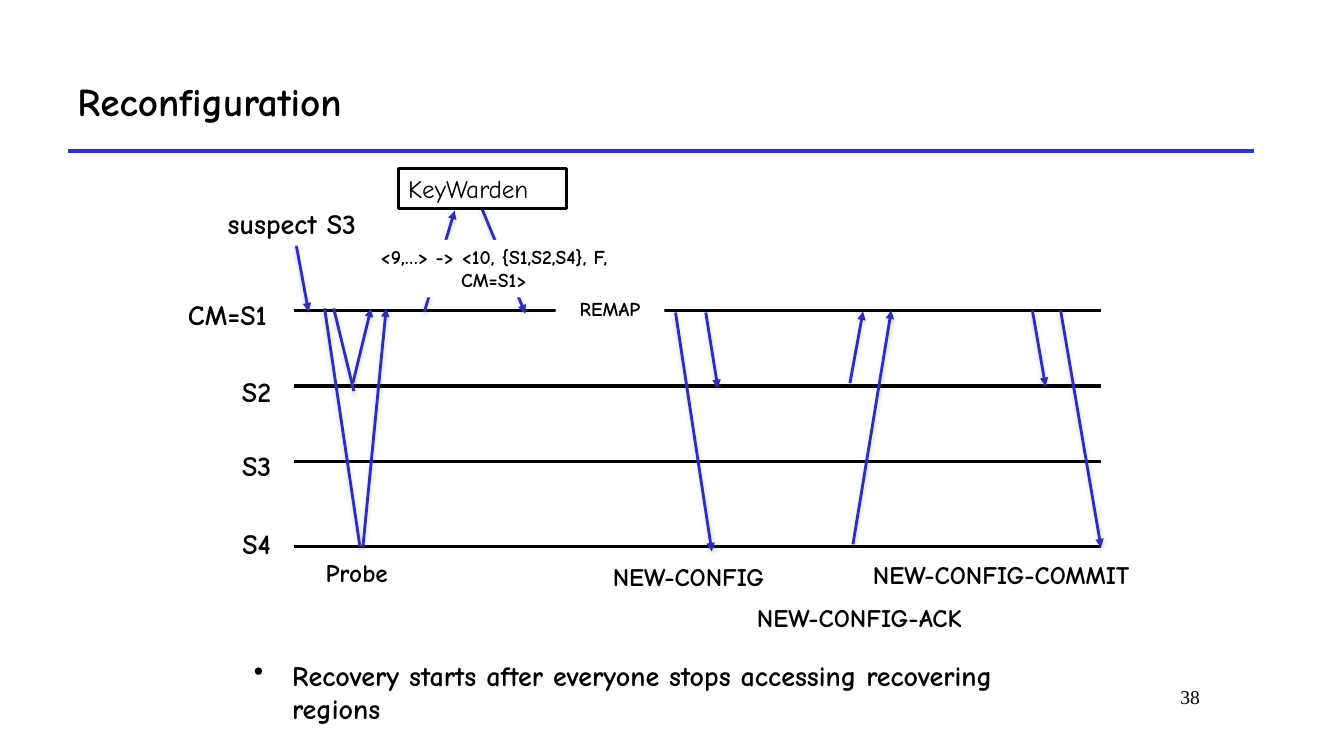
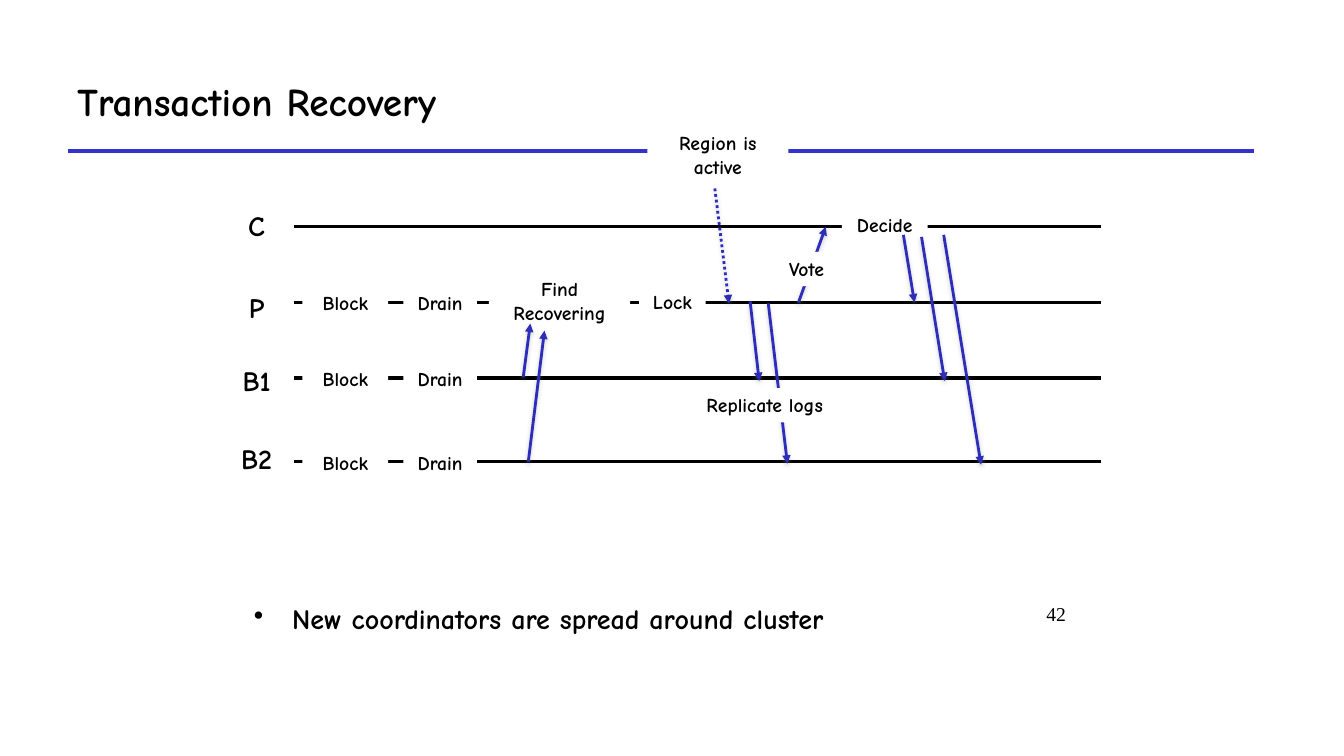
"""Build two message-timeline slides about cluster recovery."""
from lxml import etree
from pptx import Presentation
from pptx.dml.color import RGBColor
from pptx.enum import dml, shapes, text
from pptx.oxml import ns
from pptx.util import Inches, Pt

COLORS = {"ink": "000000", "paper": "FFFFFF", "rule": "3333CC",
          "arrow": "2D2DB9", "shadow": "808080"}
FONT, NUMBER_FONT = "Comic Neue", "Times New Roman"
LEFT, CENTER, RIGHT = (text.PP_ALIGN.LEFT, text.PP_ALIGN.CENTER, text.PP_ALIGN.RIGHT)
LANE_START, LANE_END = 2.92, 10.92
NOTE_RISE = 0.16
STEPS = [("Block", 3, 0.85), ("Drain", 4, 0.73)]
REPLICA_LANES = [("P", 3, 2.83), ("B1", 3.75, 3.56), ("B2", 4.58, 4.33)]

SLIDES = [
    {
        "title": "Reconfiguration",
        "number": ("38", 10.11, 6.75, 1.89),
        "lanes": [("CM=S1", 3.08, 2.9), ("S2", 3.83, 3.67),
                  ("S3", 4.58, 4.4), ("S4", 5.42, 5.17)],
        "strokes": [(3.31, 3.06, 3.51, 3.88), (3.22, 3.06, 3.57, 5.42)],
        "arrows": [(3.5, 3.8, 3.68, 3.06), (3.6, 5.42, 3.83, 3.06),
                   (2.94, 2.44, 3.06, 3.09), (4.21, 3.09, 4.51, 2.09),
                   (4.78, 2.07, 5.21, 3.11), (6.7, 3.1, 7.06, 5.47),
                   (8.46, 5.4, 8.84, 3.08), (7, 3.1, 7.12, 3.85),
                   (8.43, 3.8, 8.56, 3.09), (10.24, 3.08, 10.37, 3.83),
                   (10.52, 3.08, 10.92, 5.43)],
        "boxes": [("KeyWarden", 3.95, 1.67, 1.67, 0.4)],
        "notes": [("<9,…> -> <10, {S1,S2,S4}, F, CM=S1>", 3.46, 2.38, 2.88, 0.57),
                  ("REMAP", 5.51, 2.9, 1.08, 0.34)],
        "captions": [("suspect S3", 1.95, 2, 1.89, 0.44, 20, CENTER),
                     ("Probe", 3.13, 5.48, 0.95, 0.4, 18, LEFT),
                     ("NEW-CONFIG", 5.98, 5.52, 2.04, 0.4, 18, LEFT),
                     ("NEW-CONFIG-ACK", 7.41, 5.93, 2.67, 0.4, 18, LEFT),
                     ("NEW-CONFIG-COMMIT", 8.56, 5.5, 3.52, 0.4, 18, LEFT)],
        "bullet": ("Recovery starts after everyone stops accessing recovering regions",
                   6.48, 0.77),
    },
    {
        "title": "Transaction Recovery",
        "number": ("42", 9.25, 5.92, 1.42),
        "lanes": [("C", 2.25, 2.02)] + REPLICA_LANES,
        "dotted": [(7.09, 1.87, 7.23, 3.01)],
        "arrows": [(5.24, 4.58, 5.4, 3.28), (7.44, 2.99, 7.53, 3.78),
                   (7.62, 3.01, 7.81, 4.6), (7.92, 3, 8.19, 2.25)],
        "notes": [(step, x, y - NOTE_RISE, w, 0.34)
                  for step, x, w in STEPS for _, y, _ in REPLICA_LANES] + [
            ("Find Recovering", 4.85, 2.7, 1.4, 0.57),
            ("Lock", 6.34, 2.83, 0.66, 0.34),
            ("Region is active", 6.42, 1.25, 1.4, 0.57),
            ("Replicate logs", 6.78, 3.85, 1.61, 0.34),
            ("Vote", 7.67, 2.5, 0.66, 0.34),
            ("Decide", 8.35, 2.06, 0.85, 0.34)],
        "front_arrows": [(5.19, 3.74, 5.26, 3.21), (8.96, 2.33, 9.07, 3),
                         (9.14, 2.35, 9.37, 3.78), (9.36, 2.33, 9.73, 4.61)],
        "bullet": ("New coordinators are spread around cluster", 5.92, 0.44),
    },
]


def rgb(name):
    return RGBColor.from_string(COLORS[name])


def add_xml(parent, tag, **attrs):
    return etree.SubElement(parent, ns.qn(tag), attrs)


def add_line(s, ends, color, width):
    line = s.shapes.add_connector(shapes.MSO_CONNECTOR.STRAIGHT,
                                  *[Inches(v) for v in ends])
    line.line.color.rgb = rgb(color)
    line.line.width = Pt(width)
    effects = add_xml(line._element.spPr, "a:effectLst")
    return line, effects


def add_message(s, ends, head=True, dotted=False):
    line, effects = add_line(s, ends, "arrow", 2)
    if dotted:
        line.line.dash_style = dml.MSO_LINE.ROUND_DOT
    if head:
        add_xml(line.line._get_or_add_ln(), "a:tailEnd", type="triangle")
    shadow = add_xml(effects, "a:outerShdw", blurRad=str(Pt(3.1)), dist=str(Pt(1.6)),
                     dir="5400000", rotWithShape="0")
    tint = add_xml(shadow, "a:srgbClr", val=COLORS["shadow"])
    add_xml(tint, "a:alpha", val="38000")


def add_text(s, words, x, y, w, h, size, align=LEFT, bold=True, font=FONT,
             filled=False, outlined=False, anchor=text.MSO_ANCHOR.TOP):
    frame = [Inches(v) for v in (x, y, w, h)]
    if filled:
        sp = s.shapes.add_shape(shapes.MSO_SHAPE.RECTANGLE, *frame)
        sp.shadow.inherit = False
        sp.fill.solid()
        sp.fill.fore_color.rgb = rgb("paper")
        if outlined:
            sp.line.color.rgb = rgb("ink")
            sp.line.width = Pt(2)
        else:
            sp.line.fill.background()
    else:
        sp = s.shapes.add_textbox(*frame)
    tf = sp.text_frame
    tf.word_wrap = True
    tf.vertical_anchor = anchor
    tf.text = words
    p = tf.paragraphs[0]
    p.alignment = align
    r = p.runs[0]
    r.font.name, r.font.size, r.font.bold = font, Pt(size), bold
    r.font.color.rgb = rgb("ink")
    return p


def add_bullet(s, words, y, h):
    pPr = add_text(s, words, 2.42, y, 8, h, 20)._p.get_or_add_pPr()
    indent = Inches(0.38)
    pPr.set("marL", str(indent))
    pPr.set("indent", str(-indent))
    add_xml(pPr, "a:buChar", char="•")


def add_lanes(s, lanes):
    for _, y, _ in lanes:
        add_line(s, (LANE_START, y, LANE_END, y), "ink", 2.25)
    for name, _, top in lanes:
        x, w = (1.67, 1.17) if len(name) > 2 else (2.17, 0.75)
        add_text(s, name, x, top, w, 0.44, 20, CENTER)


def add_frame(s, title, number):
    add_line(s, (0.67, 1.5, 12.44, 1.5), "rule", 3)
    add_text(s, title, 0.67, 0.5, 11.78, 1, 28, anchor=text.MSO_ANCHOR.MIDDLE)
    words, x, y, w = number
    add_text(s, words, x, y, w, 0.5, 14, RIGHT, bold=False, font=NUMBER_FONT)


def add_timeline(prs, content):
    s = prs.slides.add_slide(prs.slide_layouts[6])
    add_frame(s, content["title"], content["number"])
    add_lanes(s, content["lanes"])
    for ends in content.get("strokes", []):
        add_message(s, ends, head=False)
    for ends in content.get("dotted", []):
        add_message(s, ends, dotted=True)
    for ends in content["arrows"]:
        add_message(s, ends)
    for box in content.get("boxes", []):
        add_text(s, *box, 18, bold=False, filled=True, outlined=True)
    for note in content["notes"]:
        add_text(s, *note, 14, CENTER, filled=True)
    for ends in content.get("front_arrows", []):
        add_message(s, ends)
    for caption in content.get("captions", []):
        add_text(s, *caption)
    add_bullet(s, *content["bullet"])


def main():
    prs = Presentation()
    prs.slide_width, prs.slide_height = Inches(13.33), Inches(7.5)
    for content in SLIDES:
        add_timeline(prs, content)
    prs.save("out.pptx")


if __name__ == "__main__":
    main()
